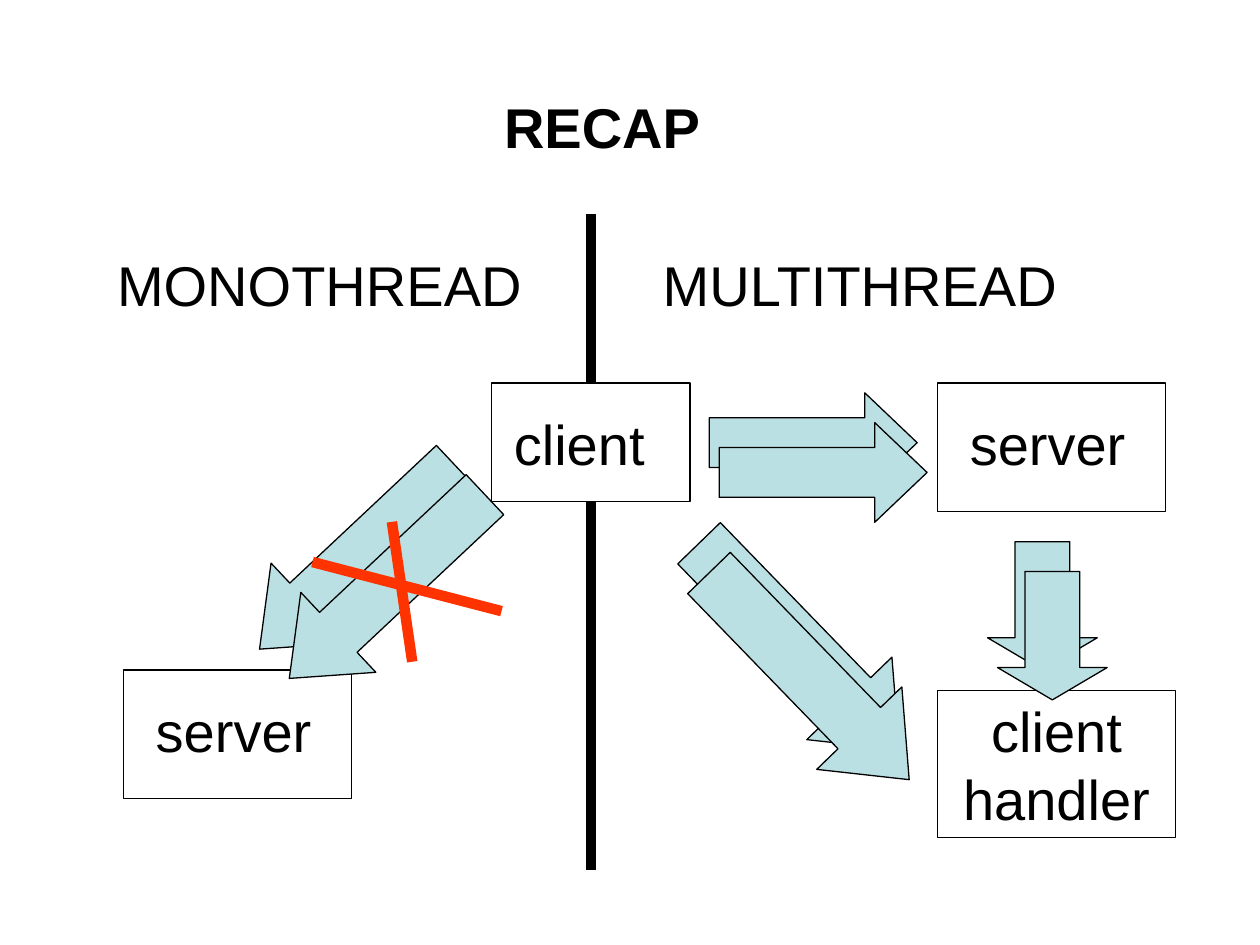
from dataclasses import dataclass

from lxml import etree
from pptx import Presentation
from pptx.dml.color import RGBColor
from pptx.enum.shapes import MSO_CONNECTOR, MSO_SHAPE
from pptx.enum.text import MSO_ANCHOR, MSO_AUTO_SIZE, PP_ALIGN
from pptx.oxml.ns import qn
from pptx.util import Cm, Pt

RECT = MSO_SHAPE.RECTANGLE
LEFT, RIGHT, DOWN = MSO_SHAPE.LEFT_ARROW, MSO_SHAPE.RIGHT_ARROW, MSO_SHAPE.DOWN_ARROW
STRAIGHT = MSO_CONNECTOR.STRAIGHT
TOP = MSO_ANCHOR.TOP
FLUSH, CENTER = PP_ALIGN.LEFT, PP_ALIGN.CENTER
FIXED = MSO_AUTO_SIZE.NONE


@dataclass(frozen=True)
class Theme:
    """Colours, type and line widths of the slide."""
    ink: RGBColor = RGBColor(0, 0, 0)
    paper: RGBColor = RGBColor(255, 255, 255)
    arrow: RGBColor = RGBColor(0xBB, 0xE0, 0xE3)
    cross: RGBColor = RGBColor(0xFF, 0x33, 0x00)
    font: str = "Arial"
    size: Pt = Pt(32)
    thin: Pt = Pt(0.75)
    thick: Pt = Pt(6)


THEME = Theme()


def write(shape, text, align=FLUSH, bold=False, inset=(0.25, 0.13)):
    """Set one paragraph in a shape, inset from its left and top."""
    frame = shape.text_frame
    frame.text = text
    frame.word_wrap = True
    frame.auto_size = FIXED
    frame.vertical_anchor = TOP
    frame.margin_left, frame.margin_top = map(Cm, inset)
    frame.margin_right, frame.margin_bottom = Cm(0.25), Cm(0.13)
    para = frame.paragraphs[0]
    para.alignment = align
    font = para.font
    font.name, font.size, font.bold = THEME.font, THEME.size, bold
    font.color.rgb = THEME.ink


def draw(slide, kind, box, fill):
    """Draw a filled preset shape with a thin outline."""
    shape = slide.shapes.add_shape(kind, *map(Cm, box))
    shape.shadow.inherit = False
    shape.fill.solid()
    shape.fill.fore_color.rgb = fill
    shape.line.color.rgb = THEME.ink
    shape.line.width = THEME.thin
    return shape


def node(slide, box, text, inset, align=FLUSH):
    """Draw a labelled white box."""
    write(draw(slide, RECT, box, THEME.paper), text, align, inset=inset)


def pair(slide, kind, box, step, head, turn=0):
    """Draw two overlapping arrows, the second moved by a step."""
    x, y, w, h = box
    for i in range(2):
        spot = (x + i * step[0], y + i * step[1], w, h)
        arrow = draw(slide, kind, spot, THEME.arrow)
        arrow.adjustments[1] = head
        arrow.rotation = turn


def stroke(slide, ends, color):
    """Draw a thick straight line."""
    line = slide.shapes.add_connector(STRAIGHT, *map(Cm, ends))
    line.line.color.rgb = color
    line.line.width = THEME.thick
    etree.SubElement(line._element.spPr, qn("a:effectLst"))


def label(slide, x, y, text):
    """Place the heading of one half."""
    write(slide.shapes.add_textbox(Cm(x), Cm(y), Cm(9.19), Cm(1.63)), text)


def head(slide, x, y, w, h):
    """Place the slide title."""
    title = slide.shapes.title
    title.left, title.top, title.width, title.height = map(Cm, (x, y, w, h))
    write(title, "RECAP", bold=True)


def middle(slide, x, y, w, h):
    """Draw the divider with the shared client on it."""
    mid = x + w / 2
    stroke(slide, (mid, y, mid, y + h), THEME.ink)
    node(slide, (x, y + 3.4, w, 2.39), "client", (0.45, 0.53))


def mono(slide, x, y):
    """Draw the half with one thread and its crossed-out arrows."""
    label(slide, x, y, "MONOTHREAD")
    node(slide, (x + 0.38, y + 8.58, 4.6, 2.59), "server", (0.65, 0.53))
    pair(slide, LEFT, (x + 2.39, y + 5.2, 5.41, 2.21), (0.6, 0.59), 0.614, 316.8)
    for a, b, c, d in ((4.19, 6.4, 8, 7.39), (5.79, 5.59, 6.2, 8.41)):
        stroke(slide, (x + a, y + b, x + c, y + d), THEME.cross)


def multi(slide, x, y):
    """Draw the half with many threads and a client handler."""
    step = (0.2, 0.6)
    label(slide, x, y, "MULTITHREAD")
    node(slide, (x + 5.79, y + 2.79, 4.6, 2.59), "server", (0.65, 0.53))
    node(slide, (x + 5.79, y + 8.99, 4.8, 2.97), "client handler", (0.25, 0.13), CENTER)
    pair(slide, RIGHT, (x + 1.19, y + 2.99, 4.19, 2.01), step, 0.525)
    pair(slide, DOWN, (x + 6.8, y + 5.99, 2.21, 2.59), step, 0.295)
    pair(slide, RIGHT, (x + 0.1, y + 6.91, 5.8, 2.39), step, 0.605, 45.9)


def main():
    """Build and save the slide."""
    deck = Presentation()
    deck.slide_width, deck.slide_height = Cm(25.4), Cm(19.05)
    slide = deck.slides.add_slide(deck.slide_layouts[5])
    head(slide, 9.91, 1.73, 4.8, 1.63)
    middle(slide, 9.91, 4.32, 4, 13.21)
    mono(slide, 2.11, 4.93)
    multi(slide, 13.11, 4.93)
    deck.save("out.pptx")


if __name__ == "__main__":
    main()
